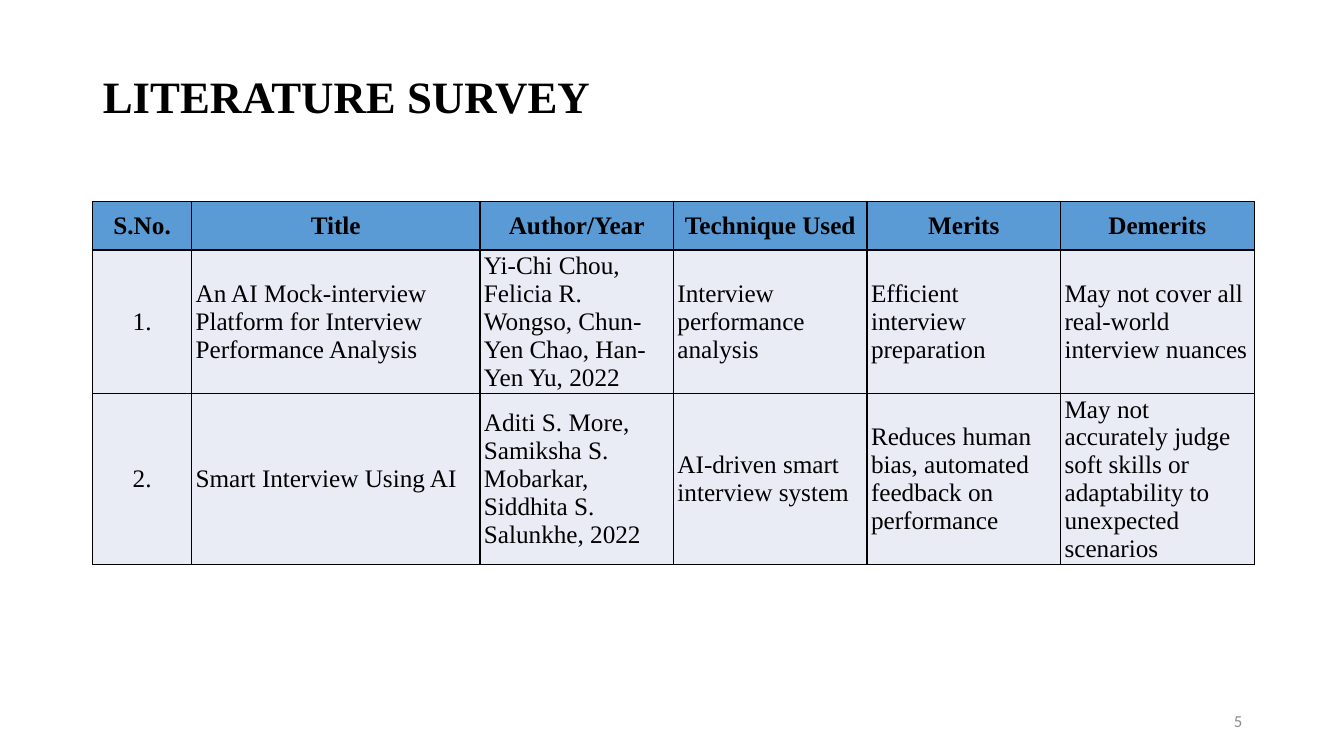
"""Build the literature survey slide with its comparison table."""
from lxml import etree
from pptx import Presentation
from pptx.dml.color import RGBColor
from pptx.enum.text import MSO_ANCHOR as Anchor, PP_ALIGN as Align
from pptx.oxml import parse_xml
from pptx.util import Inches, Pt

NAMESPACE = "http://schemas.openxmlformats.org/drawingml/2006/main"
BORDER = (
    '<a:{side} xmlns:a="' + NAMESPACE + '" w="12700">'
    '<a:solidFill><a:srgbClr val="000000"/></a:solidFill></a:{side}>'
)
COLUMN_WIDTHS = [0.98, 2.86, 1.92, 1.92, 1.92, 1.92]
ROW_HEIGHTS = [0.48, 1.27, 1.27]
ROWS = [
    ["S.No.", "Title", "Author/Year", "Technique Used", "Merits", "Demerits"],
    [
        "1.",
        "An AI Mock-interview Platform for Interview Performance Analysis",
        "Yi-Chi Chou, Felicia R. Wongso, Chun-Yen Chao, Han-Yen Yu, 2022",
        "Interview performance analysis",
        "Efficient interview preparation",
        "May not cover all real-world interview nuances",
    ],
    [
        "2.",
        "Smart Interview Using AI",
        "Aditi S. More, Samiksha S. Mobarkar, Siddhita S. Salunkhe, 2022",
        "AI-driven smart interview system",
        "Reduces human bias, automated feedback on performance",
        "May not accurately judge soft skills or adaptability to unexpected scenarios",
    ],
]


def color(value):
    return RGBColor.from_string(value)


def write_text(frame, text, size=18, font="Times New Roman", fill="000000",
               bold=False, align=Align.LEFT, spacing=None):
    frame.word_wrap = True
    frame.vertical_anchor = Anchor.MIDDLE
    paragraph = frame.paragraphs[0]
    paragraph.alignment = align
    paragraph.line_spacing = spacing
    run = paragraph.add_run()
    run.text = text
    run.font.size = Pt(size)
    run.font.name = font
    run.font.bold = bold
    run.font.color.rgb = color(fill)


presentation = Presentation()
presentation.slide_width = Inches(13.33)
presentation.slide_height = Inches(7.5)
slide = presentation.slides.add_slide(presentation.slide_layouts[5])

title = slide.shapes.title
title.left, title.top = Inches(0.92), Inches(0.49)
title.width, title.height = Inches(11.5), Inches(0.98)
write_text(title.text_frame, "LITERATURE SURVEY", size=32, bold=True, spacing=0.9)

table_shape = slide.shapes.add_table(
    len(ROWS), len(COLUMN_WIDTHS), Inches(0.92), Inches(2), Inches(11.5), Inches(3.86)
)
table = table_shape.table
for column, width in zip(table.columns, COLUMN_WIDTHS):
    column.width = Inches(width)
for row, height in zip(table.rows, ROW_HEIGHTS):
    row.height = Inches(height)
table_shape.height = Inches(3.86)

for row_index, row_texts in enumerate(ROWS):
    is_header = row_index == 0
    for column_index, text in enumerate(row_texts):
        cell = table.cell(row_index, column_index)
        cell.margin_left = cell.margin_right = Inches(0.04)
        cell.margin_top = cell.margin_bottom = Inches(0.02)
        cell.vertical_anchor = Anchor.MIDDLE
        cell.fill.solid()
        cell.fill.fore_color.rgb = color("5B9BD5" if is_header else "E9EBF5")
        centered = is_header or column_index == 0
        write_text(cell.text_frame, text, bold=is_header,
                   align=Align.CENTER if centered else Align.LEFT)
        properties = cell._tc.get_or_add_tcPr()
        for position, side in enumerate(["lnL", "lnR", "lnT", "lnB"]):
            properties.insert(position, parse_xml(BORDER.format(side=side)))
        body = cell.text_frame._txBody.bodyPr
        for attribute in list(body.attrib):
            etree.strip_attributes(body, attribute)

page_number = slide.shapes.add_textbox(Inches(9.42), Inches(6.95), Inches(3), Inches(0.4))
write_text(page_number.text_frame, "5", size=12, font="Calibri", fill="8C8C8C", align=Align.RIGHT)

presentation.save("out.pptx")
